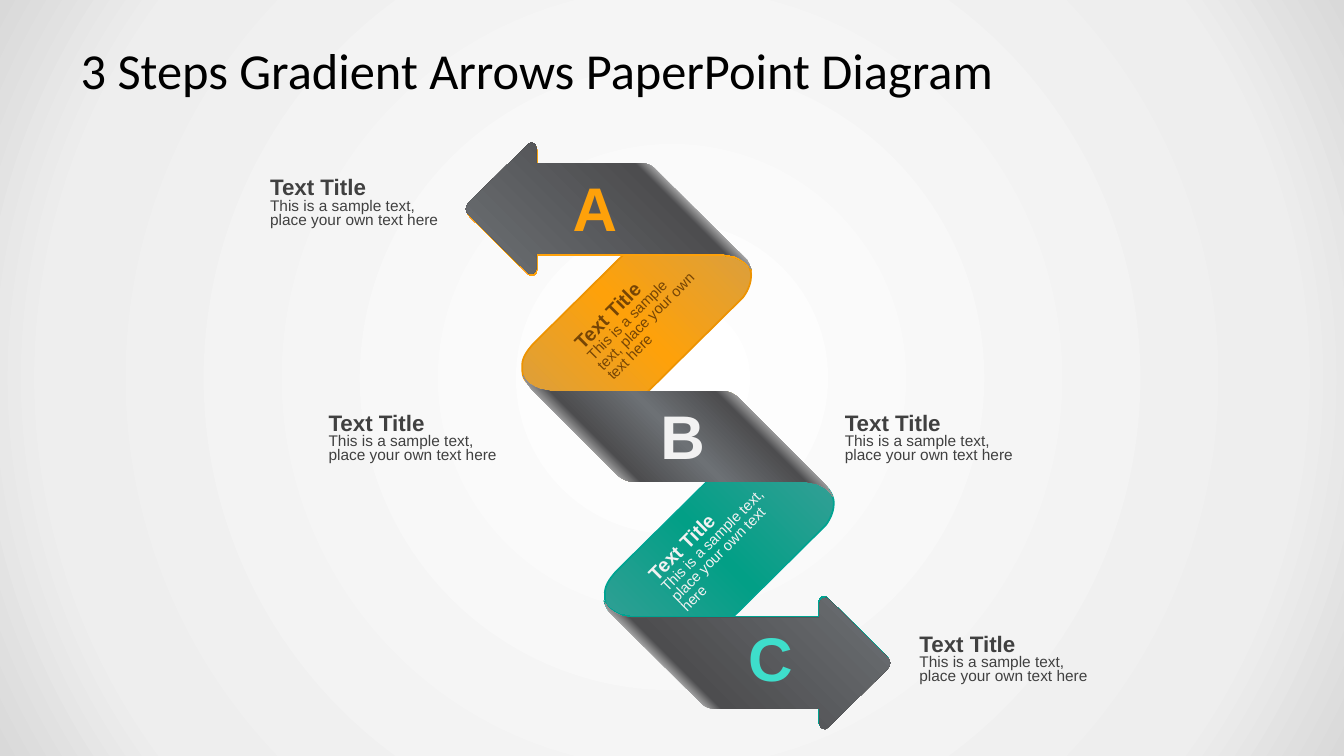
from lxml import etree
from pptx import Presentation
from pptx import util as u
from pptx.dml.color import RGBColor
from pptx.enum import text as t
from pptx.oxml import ns

PX = 9144
BLACK = RGBColor(0x00, 0x00, 0x00)
CHARCOAL = RGBColor(0x40, 0x40, 0x40)
CLOUD = RGBColor(0xF2, 0xF2, 0xF2)
WHITE = RGBColor(0xFF, 0xFF, 0xFF)
MIST = RGBColor(0xEE, 0xEE, 0xEE)
SILVER = RGBColor(0xD9, 0xD9, 0xD9)
SHEEN = RGBColor(0xBF, 0xBF, 0xBF)
GRAPHITE = RGBColor(0x4D, 0x4D, 0x4F)
STEEL = RGBColor(0x6D, 0x71, 0x75)
ORANGE = RGBColor(0xFE, 0xA1, 0x0A)
AMBER = RGBColor(0xDA, 0x9F, 0x3E)
AMBER_EDGE = RGBColor(0xED, 0x93, 0x01)
BROWN = RGBColor(0x76, 0x45, 0x05)
TEAL = RGBColor(0x02, 0x9F, 0x86)
SEA = RGBColor(0x33, 0x9F, 0x95)
TEAL_EDGE = RGBColor(0x00, 0xA3, 0x91)
AQUA = RGBColor(0x3E, 0xDE, 0xCB)

HALO = ((0, WHITE), (81, MIST), (100, SILVER))
ARROW_SHADE = ((28, SHEEN), (33, GRAPHITE), (100, STEEL))
BAND_SHADE = ((25, SHEEN), (31, GRAPHITE), (50, STEEL), (69, GRAPHITE), (75, SHEEN))
ORANGE_SHADE = ((0, AMBER), (50, ORANGE), (100, AMBER))
TEAL_SHADE = ((0, SEA), (50, TEAL), (100, SEA))

FOLD = [(745, 273), (745, 265, 738, 252, 722, 248), (622, 249), (529, 341),
        (522, 349, 517, 356, 518, 365), (518, 375, 519, 381, 545, 394),
        (565, 399, 605, 394, 636, 395), (737, 295), (743, 287, 745, 279, 745, 273)]
ARROW = [(524, 143), (527, 140, 532, 142, 532, 147), (532, 162), (636, 162),
         (643, 162, 648, 165, 651, 169), (736, 253), (741, 258),
         (743, 261, 744, 264, 745, 267), (742, 261, 736, 257, 729, 254),
         (719, 252), (532, 252), (532, 266), (532, 271, 526, 274, 523, 270),
         (466, 214), (461, 209, 461, 206, 465, 201)]
HALF = [(519, 373), (523, 380, 528, 384, 535, 386), (545, 388), (717, 388),
        (724, 388, 729, 391, 733, 395), (771, 433), (575, 433), (528, 387),
        (524, 382), (522, 380, 521, 377, 519, 373)]
EDGE = [(519, 373), (522, 380, 528, 383, 535, 386), (545, 388), (717, 388),
        (723, 388, 728, 391, 732, 394), (817, 479), (821, 484),
        (823, 487, 825, 490, 826, 493)]
HEADING = "Text Title"
SAMPLE = "This is a sample text, place your own text here"


def shift(outline, dx, dy):
    return [tuple(v + (dy if i % 2 else dx) for i, v in enumerate(step)) for step in outline]


def half_turn(outline, across=1345, down=866):
    return [tuple((down if i % 2 else across) - v for i, v in enumerate(step))
            for step in outline]


def add_node(parent, tag, **attributes):
    return etree.SubElement(parent, ns.qn(tag), {k: str(v) for k, v in attributes.items()})


def bend(shape, outline):
    segments = iter(shape.element.findall(".//" + ns.qn("a:lnTo")))
    for step in outline[1:]:
        first = next(segments)
        if len(step) == 6:
            curve = etree.Element(ns.qn("a:cubicBezTo"))
            first.addprevious(curve)
            for segment in (first, next(segments), next(segments)):
                curve.append(segment[0])
                segment.getparent().remove(segment)


def paint_gradient(fill, holder, stops, angle=None):
    fill.solid()
    gradient = etree.Element(ns.qn("a:gradFill"), rotWithShape="1")
    stop_list = add_node(gradient, "a:gsLst")
    for position, color in stops:
        stop = add_node(stop_list, "a:gs", pos=position * 1000)
        add_node(stop, "a:srgbClr", val=color)
    if angle is None:
        circle = add_node(gradient, "a:path", path="circle")
        add_node(circle, "a:fillToRect", l=50000, t=50000, r=50000, b=50000)
    else:
        add_node(gradient, "a:lin", ang=angle * 60000, scaled=0)
    holder.replace(holder.find(ns.qn("a:solidFill")), gradient)


def write(para, words, size=11, color=CHARCOAL, bold=False, font="Arial",
          align=t.PP_ALIGN.LEFT, spacing=None):
    para.alignment = align
    if spacing:
        para.line_spacing = u.Pt(spacing)
    span = para.add_run()
    span.text = words
    span.font.name, span.font.size, span.font.bold = font, u.Pt(size), bold
    span.font.color.rgb = color


class Diagram:
    """Holds the deck, the current page and the drawing style."""

    def __init__(self, width, height):
        self.deck = Presentation()
        self.deck.slide_width, self.deck.slide_height = width * PX, height * PX
        self.page = self.deck.slides.add_slide(self.deck.slide_layouts[5])

    def background(self, stops):
        fill = self.page.background.fill
        fill.solid()
        holder = self.page.element.find(".//" + ns.qn("p:bgPr"))
        paint_gradient(fill, holder, stops)

    def title(self, words, x, y, width, height):
        box = self.page.shapes.title
        box.left, box.top, box.width, box.height = (v * PX for v in (x, y, width, height))
        frame = box.text_frame
        frame.vertical_anchor = t.MSO_ANCHOR.MIDDLE
        frame.margin_left = frame.margin_right = 13 * PX
        frame.margin_top = frame.margin_bottom = 7 * PX
        write(frame.paragraphs[0], words, size=36, color=BLACK, font="Calibri")

    def ribbon(self, outline, shade, angle=None, edge=None, shadow=None):
        points = [step[i:i + 2] for step in outline for i in range(0, len(step), 2)]
        builder = self.page.shapes.build_freeform(*points[0], scale=PX)
        builder.add_line_segments(points[1:], close=True)
        shape = builder.convert_to_shape()
        bend(shape, outline)
        shape.shadow.inherit = False
        if isinstance(shade, RGBColor):
            shape.fill.solid()
            shape.fill.fore_color.rgb = shade
        else:
            paint_gradient(shape.fill, shape.element.spPr, shade, angle)
        if edge:
            shape.line.color.rgb = edge
            shape.line.width = u.Pt(1.25)
        else:
            shape.line.fill.background()
        if shadow:
            color, direction = shadow
            effects = shape.element.spPr.find(ns.qn("a:effectLst"))
            cast = add_node(effects, "a:outerShdw", dist=u.Pt(1.5),
                            dir=direction * 60000, algn="ctr", rotWithShape=0)
            add_node(cast, "a:srgbClr", val=color)

    def text_box(self, x, y, width, height, rotation=0):
        box = self.page.shapes.add_textbox(*(v * PX for v in (x, y, width, height)))
        box.rotation = rotation
        box.text_frame.word_wrap = True
        box.text_frame.vertical_anchor = t.MSO_ANCHOR.MIDDLE
        return box.text_frame

    def letter(self, words, x, y, color):
        frame = self.text_box(x, y, 84, 70)
        write(frame.paragraphs[0], words, size=44, color=color, bold=True,
              align=t.PP_ALIGN.CENTER)

    def caption(self, x, y, width=202, height=99, sizes=(16, 11), color=CHARCOAL, rotation=0):
        frame = self.text_box(x, y, width, height, rotation)
        write(frame.paragraphs[0], HEADING, size=sizes[0], color=color, bold=True, spacing=10)
        write(frame.add_paragraph(), SAMPLE, size=sizes[1], color=color, spacing=10)


def main():
    diagram = Diagram(1333, 750)
    diagram.background(HALO)
    diagram.title("3 Steps Gradient Arrows PaperPoint Diagram", 67, 30, 1200, 78)

    diagram.ribbon(FOLD, ORANGE_SHADE, 135, edge=AMBER_EDGE)
    diagram.ribbon(shift(FOLD, 82, 226), TEAL_SHADE, 135, edge=TEAL_EDGE)
    diagram.ribbon(ARROW, ARROW_SHADE, 135, shadow=(ORANGE, 70))
    for half in (HALF, half_turn(HALF)):
        diagram.ribbon(half, ORANGE)
    diagram.ribbon(EDGE + half_turn(EDGE), BAND_SHADE, 135)
    diagram.ribbon(half_turn(ARROW, down=865), ARROW_SHADE, 315, shadow=(TEAL_EDGE, 240))

    for x, y, width, color in ((561, 258, 155, BROWN), (634, 487, 157, CLOUD)):
        diagram.caption(x, y, width, 109, sizes=(14, 10.5), color=color, rotation=315)
    for words, x, y, color in (("A", 548, 170, ORANGE), ("B", 635, 396, CLOUD),
                               ("C", 722, 617, AQUA)):
        diagram.letter(words, x, y, color)
    for x, y in ((828, 390), (902, 609), (258, 156), (316, 390)):
        diagram.caption(x, y)
    diagram.deck.save("out.pptx")


if __name__ == "__main__":
    main()
